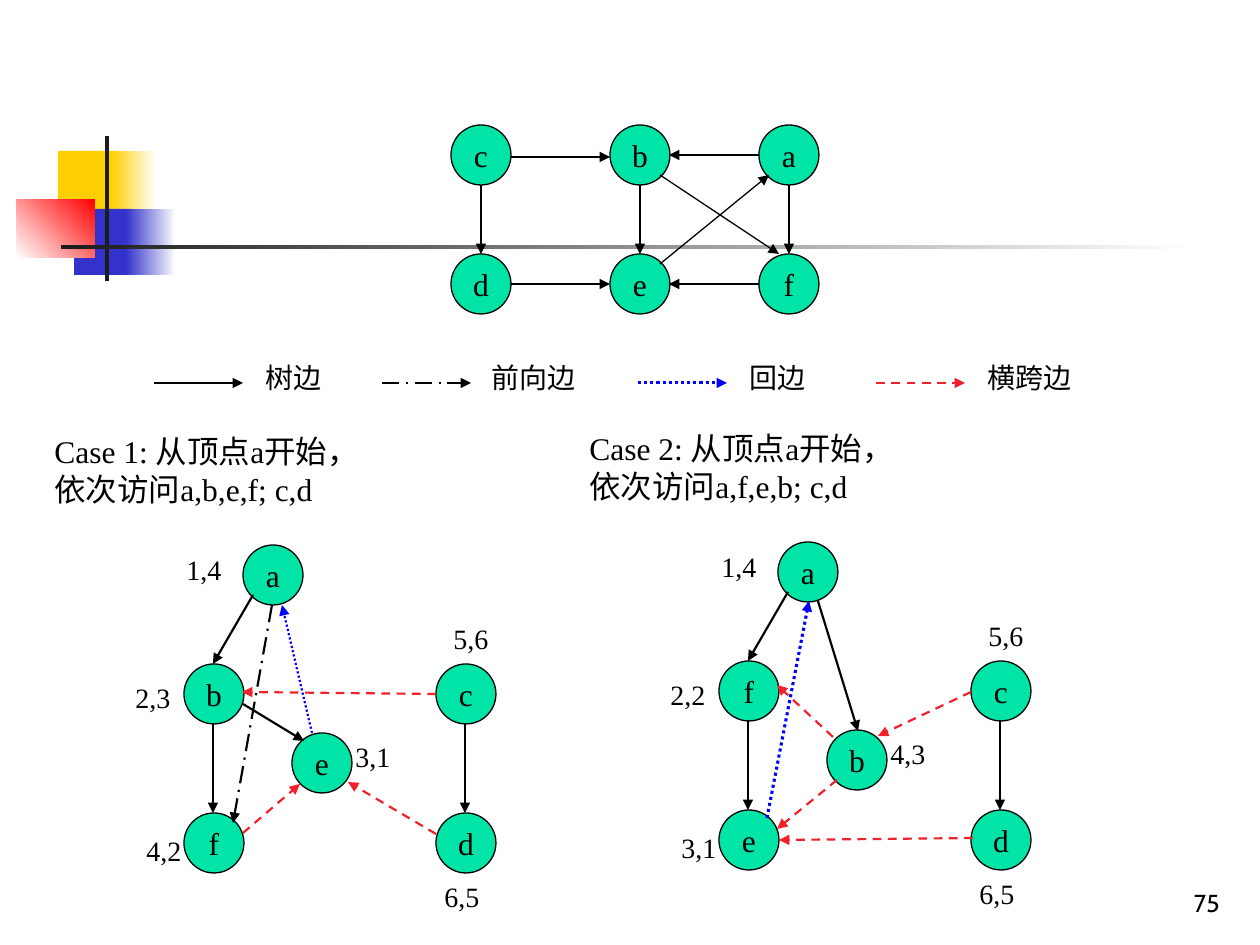
import pptx
import pptx.util
import pptx.dml.color
import pptx.enum.dml
import pptx.enum.shapes
import pptx.enum.text
import pptx.oxml.ns
import lxml.etree

RGBColor = pptx.dml.color.RGBColor
BLACK = RGBColor(0x00, 0x00, 0x00)
WHITE = RGBColor(0xFF, 0xFF, 0xFF)
CHARCOAL = RGBColor(0x1C, 0x1C, 0x1C)
YELLOW = RGBColor(0xFF, 0xCF, 0x01)
NAVY = RGBColor(0x33, 0x33, 0xCC)
RED = RGBColor(0xFF, 0x00, 0x00)
GREEN = RGBColor(0x00, 0xE4, 0xA8)
BLUE = RGBColor(0x00, 0x00, 0xFF)
CRIMSON = RGBColor(0xF1, 0x21, 0x2B)

SCALE = 914400 / 126
NODE = 60
SERIF = "Times New Roman"
ALIGN = pptx.enum.text.PP_ALIGN
ANCHOR = pptx.enum.text.MSO_ANCHOR
DASH = pptx.enum.dml.MSO_LINE
SHAPE = pptx.enum.shapes.MSO_SHAPE

EDGE_STYLES = {
    "plain": (BLACK, 0.75, DASH.SOLID),
    "tree": (BLACK, 1.25, DASH.SOLID),
    "forward": (BLACK, 1.25, DASH.LONG_DASH_DOT),
    "back": (BLUE, 1.75, DASH.ROUND_DOT),
    "thin back": (BLUE, 1.25, DASH.ROUND_DOT),
    "cross": (CRIMSON, 1.25, DASH.DASH),
}


def px(*lengths):
    return [pptx.util.Emu(round(length * SCALE)) for length in lengths]


def write(box, lines, size, align=ALIGN.LEFT, anchor=ANCHOR.TOP, wrap=False, font=SERIF):
    frame = box.text_frame
    frame.word_wrap = wrap
    frame.vertical_anchor = anchor
    for index, line in enumerate(lines):
        para = frame.add_paragraph() if index else frame.paragraphs[0]
        para.alignment = align
        span = para.add_run()
        span.text = line
        span.font.size = pptx.util.Pt(size)
        span.font.name = font
        span.font.color.rgb = BLACK


deck = pptx.Presentation()
deck.slide_width, deck.slide_height = px(1260, 945)
page = deck.slides.add_slide(deck.slide_layouts[6])

decorations = [
    (58, 151, 60, 66, YELLOW, YELLOW, 0),
    (111, 151, 45, 66, YELLOW, WHITE, 0),
    (74, 209, 58, 66, NAVY, NAVY, 0),
    (126, 209, 50, 66, NAVY, WHITE, 0),
    (17, 199, 78, 59, WHITE, RED, 45),
    (105, 136, 4, 145, CHARCOAL, CHARCOAL, 0),
    (61, 245, 1134, 4, CHARCOAL, WHITE, 0),
]
for left, top, width, height, first, last, angle in decorations:
    block = page.shapes.add_shape(SHAPE.RECTANGLE, *px(left, top, width, height))
    block.shadow.inherit = False
    block.line.fill.background()
    if first == last:
        block.fill.solid()
        block.fill.fore_color.rgb = first
    else:
        block.fill.gradient()
        block.fill.gradient_angle = angle
        for stop, color in zip(block.fill.gradient_stops, (first, last)):
            stop.color.rgb = color

nodes = []
for top, names in ((125, "cba"), (254, "def")):
    for left, name in zip((451, 610, 759), names):
        nodes.append((name, left, top))

edges = [
    ("plain", 759, 155, 669, 155),
    ("plain", 481, 185, 481, 254),
    ("plain", 511, 157, 610, 157),
    ("plain", 640, 185, 640, 254),
    ("plain", 511, 284, 610, 284),
    ("plain", 759, 284, 669, 284),
    ("plain", 789, 185, 789, 254),
    ("plain", 660, 175, 779, 254),
    ("plain", 660, 264, 769, 175),
]
labels = []

legend = [
    ("tree", "树边", 154, 253),
    ("forward", "前向边", 382, 479),
    ("back", "回边", 638, 737),
    ("cross", "横跨边", 876, 975),
]
for style, name, start, left in legend:
    edges.append((style, start, 383, start + 89, 383))
    labels.append((name, left, 354, 26 + 28 * len(name)))

node_spots = [(243, 545), (184, 664), (292, 733), (184, 813), (436, 664), (436, 813)]
time_spots = [(174, 546), (123, 674), (343, 733), (134, 827), (441, 615), (432, 873)]
shared_edges = [
    ("tree", 253, 595, 213, 664),
    ("tree", 213, 723, 213, 813),
    ("tree", 465, 723, 465, 813),
]
cases = [
    (0, 0, "abefcd", ["1,4", "2,3", "3,1", "4,2", "5,6", "6,5"],
     ["Case 1: 从顶点a开始，", "依次访问a,b,e,f; c,d"],
     [("tree", 243, 704, 304, 741),
      ("forward", 272, 605, 233, 823),
      ("cross", 243, 833, 300, 784),
      ("thin back", 312, 733, 282, 605),
      ("cross", 436, 834, 348, 782),
      ("cross", 436, 694, 242, 692)]),
    (535, -3, "afbecd", ["1,4", "2,2", "4,3", "3,1", "5,6", "6,5"],
     ["Case 2: 从顶点a开始，", "依次访问a,f,e,b; c,d"],
     [("cross", 302, 783, 242, 832),
      ("cross", 438, 841, 244, 843),
      ("cross", 436, 695, 343, 739),
      ("cross", 298, 740, 242, 688),
      ("tree", 283, 604, 323, 734),
      ("back", 232, 821, 274, 604)]),
]
for shift_x, shift_y, names, times, heading, own_edges in cases:
    box = page.shapes.add_textbox(*px(42 + shift_x, 426 + shift_y, 345, 88))
    write(box, heading, 18, wrap=True)
    for name, (left, top) in zip(names, node_spots):
        nodes.append((name, left + shift_x, top + shift_y))
    for time, (left, top) in zip(times, time_spots):
        labels.append((time, left + shift_x, top + shift_y, 60))
    for style, x1, y1, x2, y2 in shared_edges + own_edges:
        edges.append((style, x1 + shift_x, y1 + shift_y, x2 + shift_x, y2 + shift_y))

for name, left, top in nodes:
    circle = page.shapes.add_shape(SHAPE.OVAL, *px(left, top, NODE, NODE))
    circle.shadow.inherit = False
    circle.fill.solid()
    circle.fill.fore_color.rgb = GREEN
    circle.line.color.rgb = BLACK
    circle.line.width = pptx.util.Pt(0.75)
    write(circle, [name], 18, ALIGN.CENTER, ANCHOR.MIDDLE)

for style, x1, y1, x2, y2 in edges:
    color, weight, dash = EDGE_STYLES[style]
    arrow = page.shapes.add_connector(
        pptx.enum.shapes.MSO_CONNECTOR.STRAIGHT, *px(x1, y1, x2, y2))
    arrow.line.color.rgb = color
    arrow.line.width = pptx.util.Pt(weight)
    arrow.line.dash_style = dash
    outline = arrow.line.fill._xPr
    lxml.etree.SubElement(outline, pptx.oxml.ns.qn("a:tailEnd"), type="triangle")
    lxml.etree.SubElement(outline.getparent(), pptx.oxml.ns.qn("a:effectLst"))

for text, left, top, width in labels:
    box = page.shapes.add_textbox(*px(left, top, width, 47))
    write(box, [text], 16)

number = page.shapes.add_textbox(*px(970, 861, 262, 63))
write(number, ["75"], 14, ALIGN.RIGHT, ANCHOR.BOTTOM, True, "Cabin")

deck.save("out.pptx")
